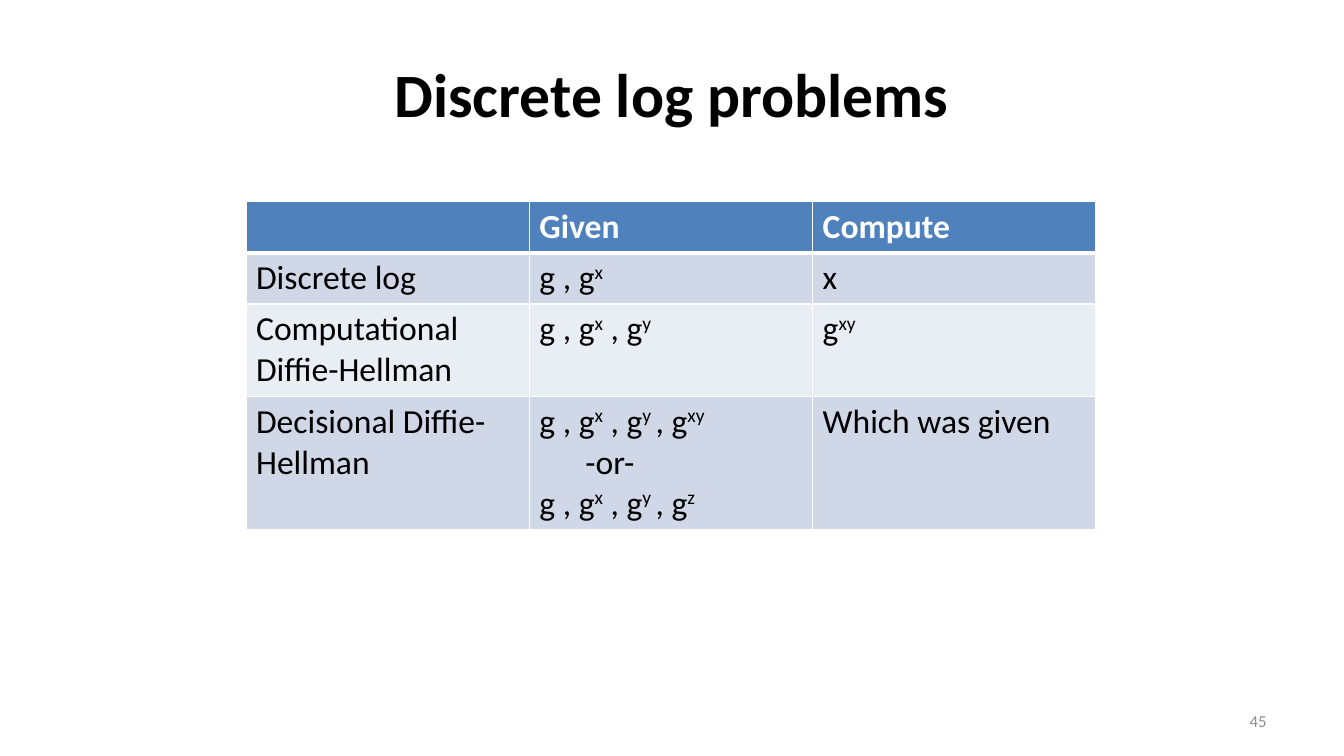
from lxml.etree import SubElement
from pptx import Presentation
from pptx.dml.color import RGBColor
from pptx.enum.text import MSO_ANCHOR, PP_ALIGN
from pptx.oxml.ns import qn
from pptx.util import Cm, Pt

FONT = "Calibri"
BLACK = RGBColor(0x00, 0x00, 0x00)
WHITE = RGBColor(0xFF, 0xFF, 0xFF)
GREY = RGBColor(0x8C, 0x8C, 0x8C)
HEADER_BLUE = RGBColor(0x4F, 0x81, 0xBD)
BAND_COLORS = [RGBColor(0xE9, 0xED, 0xF4), RGBColor(0xD0, 0xD8, 0xE8)]

TITLE = "Discrete log problems"
SLIDE_NUMBER = "45"
# Text between a pair of ^ marks is superscript; each line is a paragraph.
PROBLEMS = [
    ["", "Given", "Compute"],
    ["Discrete log", "g , g^x^", "x"],
    ["Computational Diffie-Hellman", "g , g^x^ , g^y^", "g^xy^"],
    ["Decisional Diffie-Hellman",
     "g , g^x^ , g^y ^, g^xy^\n-or-\ng , g^x^ , g^y ^, g^z^",
     "Which was given"],
]
LINES_PER_ROW = [1, 1, 2, 3]
LINE_HEIGHT, CELL_PADDING = 1.03, 0.26
COLUMN_WIDTH = 7.14
OR_INDENT = Cm(1.16)


def write_text(frame, text, size=24, color=BLACK, bold=False,
               align=PP_ALIGN.LEFT, anchor=MSO_ANCHOR.TOP):
    frame.word_wrap = True
    frame.vertical_anchor = anchor
    for index, line in enumerate(text.split("\n")):
        paragraph = frame.add_paragraph() if index else frame.paragraphs[0]
        paragraph.alignment = align
        if line == "-or-":
            paragraph._p.get_or_add_pPr().set("marL", str(OR_INDENT))
        for part, words in enumerate(line.split("^")):
            if not words:
                continue
            run = paragraph.add_run()
            run.text = words
            font = run.font
            font.name, font.size, font.bold = FONT, Pt(size), bold
            font.color.rgb = color
            if part % 2:
                run._r.get_or_add_rPr().set("baseline", "30000")


def add_borders(cell, top, bottom):
    """Draw white cell borders; must run before the cell gets its fill."""
    properties = cell._tc.get_or_add_tcPr()
    for side, width in [("L", 1), ("R", 1), ("T", top), ("B", bottom)]:
        line = SubElement(properties, qn(f"a:ln{side}"), w=str(Pt(width)))
        fill = SubElement(line, qn("a:solidFill"))
        SubElement(fill, qn("a:srgbClr"), val=str(WHITE))


def add_problem_table(slide):
    row_heights = [Cm(LINE_HEIGHT * lines + CELL_PADDING) for lines in LINES_PER_ROW]
    columns = len(PROBLEMS[0])
    table = slide.shapes.add_table(
        len(PROBLEMS), columns, Cm(6.2), Cm(5.08),
        Cm(COLUMN_WIDTH * columns), sum(row_heights)).table
    for column in table.columns:
        column.width = Cm(COLUMN_WIDTH)
    for row_index, (texts, height) in enumerate(zip(PROBLEMS, row_heights)):
        table.rows[row_index].height = height
        is_header = row_index == 0
        for column_index, text in enumerate(texts):
            cell = table.cell(row_index, column_index)
            add_borders(cell, top=3 if row_index == 1 else 1,
                        bottom=3 if is_header else 1)
            cell.fill.solid()
            cell.fill.fore_color.rgb = (
                HEADER_BLUE if is_header else BAND_COLORS[row_index % 2])
            write_text(cell.text_frame, text, bold=is_header,
                       color=WHITE if is_header else BLACK)


def main():
    presentation = Presentation()
    presentation.slide_width, presentation.slide_height = Cm(33.87), Cm(19.05)
    slide = presentation.slides.add_slide(presentation.slide_layouts[5])

    title = slide.shapes.title
    title.left, title.top, title.width, title.height = (
        Cm(1.69), Cm(0.76), Cm(30.48), Cm(3.18))
    write_text(title.text_frame, TITLE, size=44, bold=True,
               align=PP_ALIGN.CENTER, anchor=MSO_ANCHOR.MIDDLE)

    add_problem_table(slide)

    number_box = slide.shapes.add_textbox(Cm(24.27), Cm(17.66), Cm(7.9), Cm(1.01))
    write_text(number_box.text_frame, SLIDE_NUMBER, size=12, color=GREY,
               align=PP_ALIGN.RIGHT, anchor=MSO_ANCHOR.MIDDLE)

    presentation.save("out.pptx")


if __name__ == "__main__":
    main()
